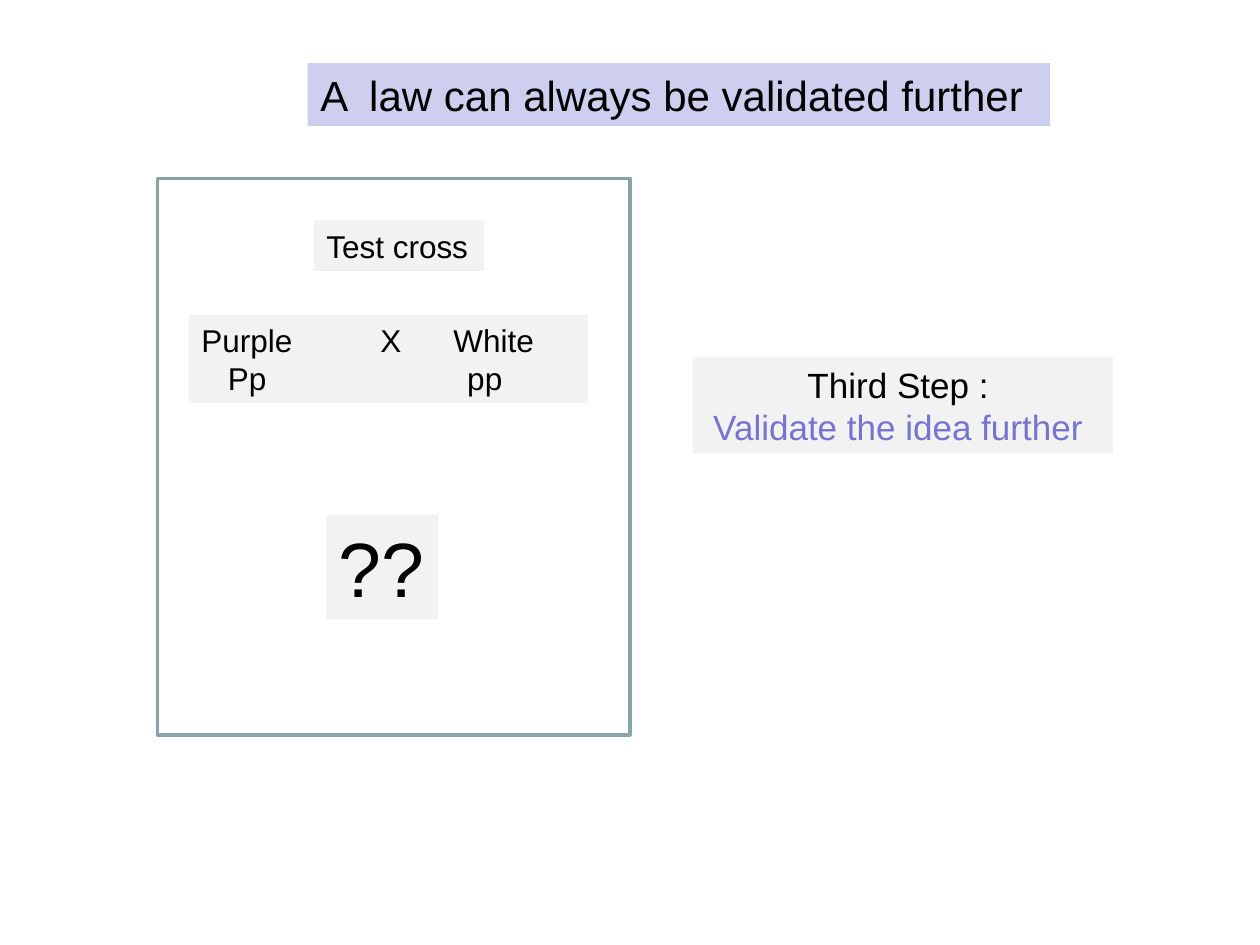
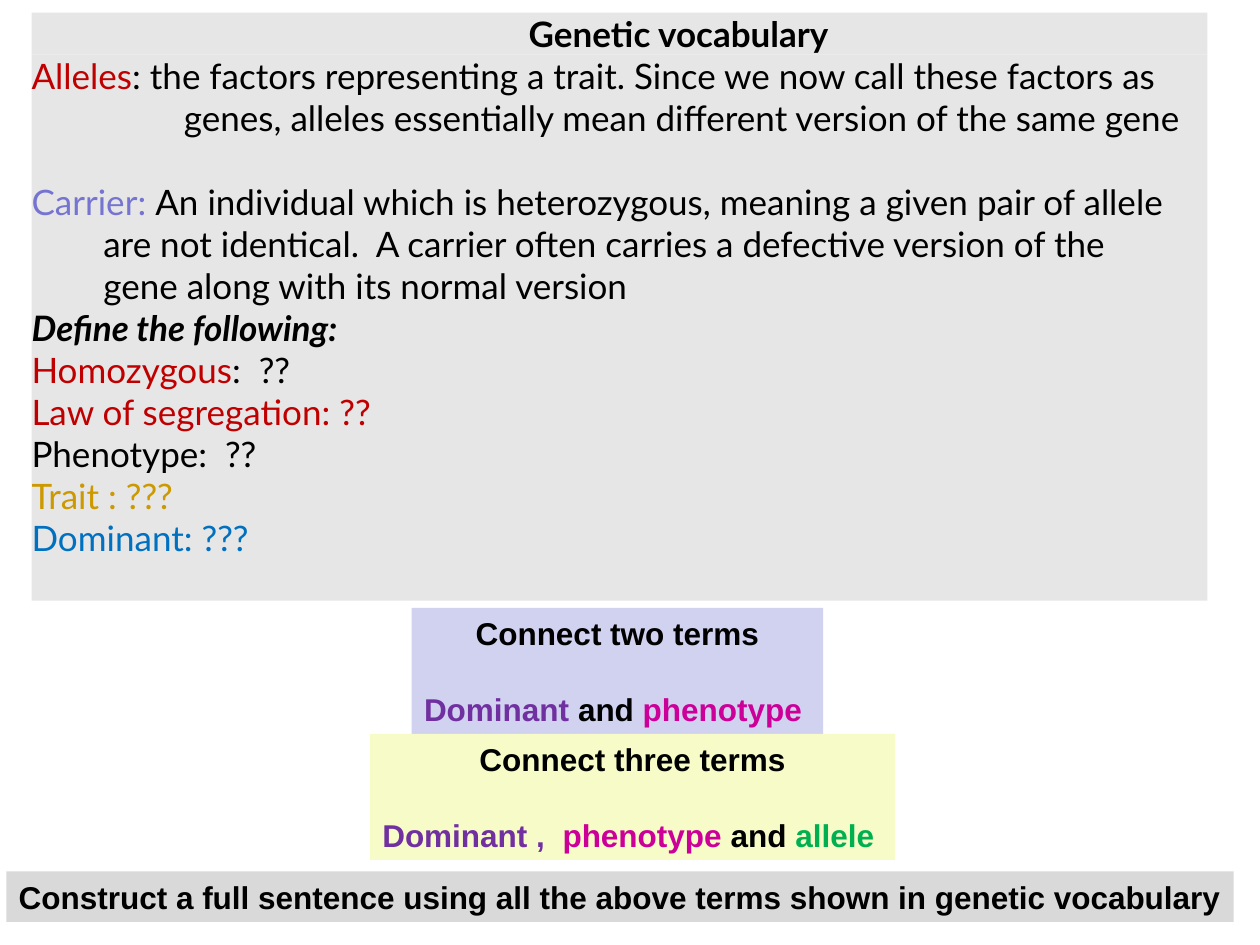
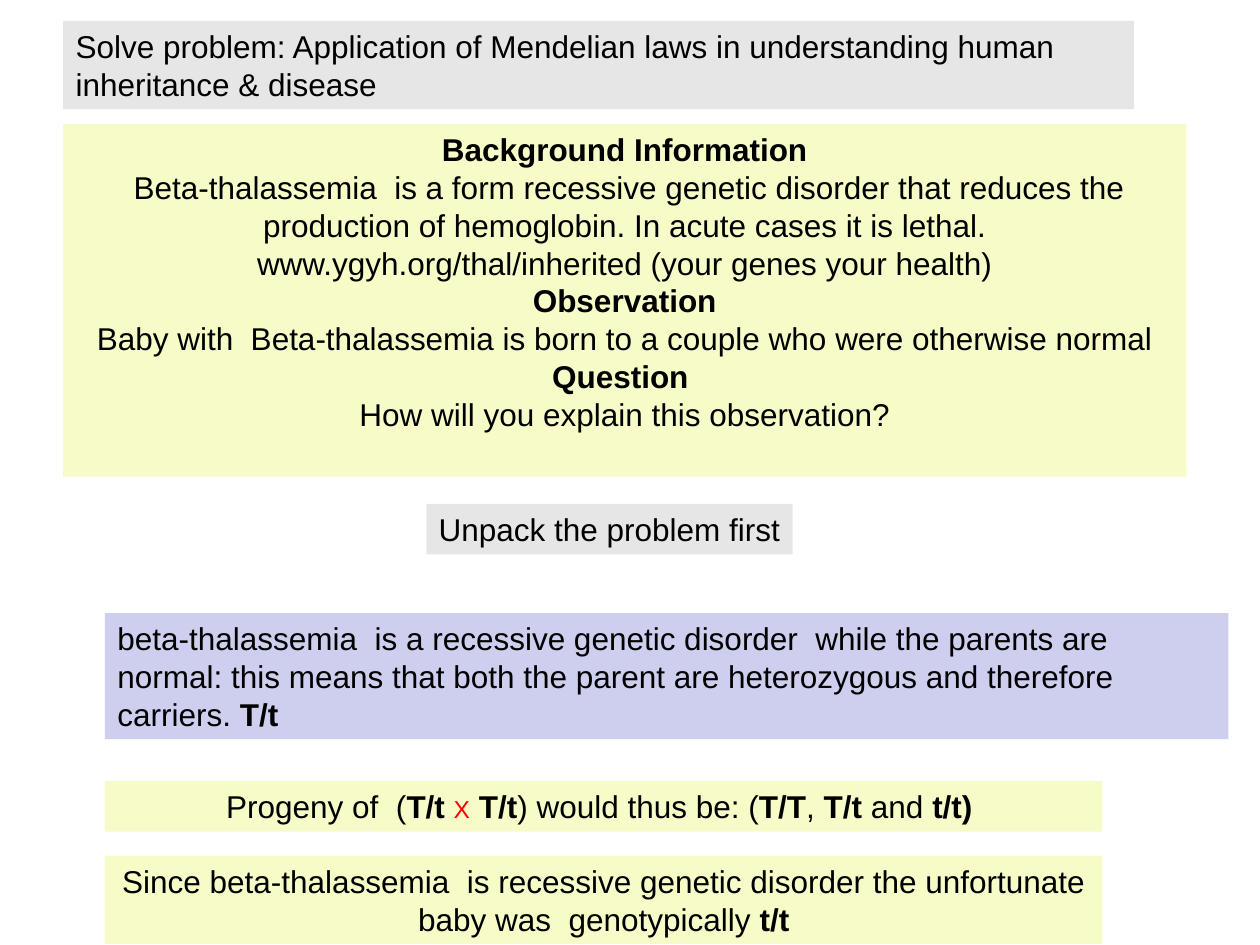
from lxml.etree import SubElement as Sub
from pptx import Presentation
from pptx.dml.color import RGBColor
from pptx.enum.shapes import MSO_SHAPE as Shape
from pptx.enum.text import MSO_ANCHOR as Anchor, MSO_AUTO_SIZE as Auto, PP_ALIGN as Align
from pptx.oxml.ns import qn
from pptx.util import Inches, Pt

COLS, ROWS = 120, 90
WIDE, HIGH = Inches(10), Inches(7.5)
ONE, TWO, THREE = 4.8, 8.4, 12  # rows taken by boxes of 18 pt lines
LEAD = 1.2

BLACK, RED, VIOLET, PINK = "000000", "C00000", "7030A0", "CC0099"
BLUE, LILAC, PALE, CREAM = "7575D1", "CECEEF", "F2F2F2", "F7FBC7"
GREY, TEAL = "E6E6E6", "89A4A7"


def color(text):
    return RGBColor.from_string(text)


def spot(left, top, width, height):
    """Turn grid columns and rows into slide lengths."""
    return (round(left * WIDE / COLS), round(top * HIGH / ROWS),
            round(width * WIDE / COLS), round(height * HIGH / ROWS))


def tint(text, hue=BLACK, **kind):
    """A run that differs from its line."""
    return text, dict(hue=hue, **kind)


def bold(text):
    return tint(text, bold=True)


def line(*runs, **kind):
    """A paragraph that differs from its box."""
    return runs, kind


def write(para, runs, size=18, font="Arial", hue=BLACK, bold=False, italic=False,
          mid=False, gap=0, left=0, tabs=(), plain=False):
    props = para._p.get_or_add_pPr()
    if plain:
        props.set("marL", str(Inches(left)))
        props.set("indent", "0")
        Sub(props, qn("a:buNone"))
    if tabs:
        stops = Sub(props, qn("a:tabLst"))
        for stop in tabs:
            Sub(stops, qn("a:tab"), pos=str(Inches(stop)), algn="l")
    para.alignment = Align.CENTER if mid else Align.LEFT
    para.line_spacing = Pt(size * LEAD)
    para.space_before = Pt(gap)
    base = dict(size=size, font=font, hue=hue, bold=bold, italic=italic)
    for item in runs:
        text, diff = (item, {}) if isinstance(item, str) else item
        look = {**base, **diff}
        run = para.add_run()
        run.text = text
        face = run.font
        face.name, face.size = look["font"], Pt(look["size"])
        face.bold, face.italic = look["bold"], look["italic"]
        face.color.rgb = color(look["hue"])


def fill(box, area, back, lines, wrap=True, pad=(0.1, 0.05, 0.1, 0.05), **kind):
    """Place a box on the grid, paint it and write its lines."""
    box.left, box.top, box.width, box.height = spot(*area)
    box.fill.solid()
    box.fill.fore_color.rgb = color(back)
    frame = box.text_frame
    frame.auto_size, frame.word_wrap = Auto.NONE, wrap
    frame.vertical_anchor = Anchor.TOP
    (frame.margin_left, frame.margin_top,
     frame.margin_right, frame.margin_bottom) = map(Inches, pad)
    for num, item in enumerate(lines):
        runs, diff = ((item,), {}) if isinstance(item, str) else item
        para = frame.add_paragraph() if num else frame.paragraphs[0]
        write(para, runs, **{**kind, **diff})


def note(slide, area, back, *lines, **kind):
    fill(slide.shapes.add_textbox(*spot(*area)), area, back, lines, **kind)


def head(slide, area, back, text, **kind):
    fill(slide.shapes.title, area, back, [text], **kind)


def body(slide, area, back, *lines, **kind):
    fill(slide.placeholders[1], area, back, lines, plain=True, **kind)


def panel(slide, area, hue):
    box = slide.shapes.add_shape(Shape.RECTANGLE, *spot(*area))
    box.shadow.inherit = False
    box.fill.background()
    box.line.color.rgb = color(hue)
    box.line.width = Pt(2)


def cross(slide):
    head(slide, (29.3, 6, 70.7, 6), LILAC, "A  law can always be validated further", size=24)
    panel(slide, (15, 17, 45, 53), TEAL)
    note(slide, (29.9, 21, 16.2, ONE), PALE, "Test cross", wrap=False)
    note(slide, (18, 30, 38, TWO), PALE,
         line("Purple\tX\tWhite", tabs=(1.42, 2)),
         line("\tPp\tpp", tabs=(0.21, 2.11)))
    note(slide, (31.1, 49, 10.6, 10), PALE, "??", size=44, wrap=False)
    note(slide, (66, 34, 40, 9.2), PALE, "Third Step : ",
         line("Validate the idea further ", hue=BLUE), size=20, mid=True)


def terms(slide):
    look = dict(size=20, font="Lato", pad=(0, 0, -1, 0))
    head(slide, (3, 1.2, 112, 4), GREY, "Genetic vocabulary ", bold=True, mid=True, **look)
    body(slide, (3, 5.2, 112, 52), GREY,
         line(tint("Alleles", RED),
              ": the factors representing a trait. Since we now call these factors as"),
         line("genes, alleles essentially mean different version of the same gene", left=1.21),
         line(tint("Carrier: ", BLUE),
              "An individual which is heterozygous, meaning a given pair of allele",
              gap=20 * LEAD),
         line("are not identical.  A carrier often carries a defective version of the", left=0.57),
         line("gene along with its normal version", left=0.57),
         line("Define the following:", bold=True, italic=True),
         line(tint("Homozygous", RED), ":  ??"),
         line("Law of segregation: ??", hue=RED),
         "Phenotype:  ??",
         line("Trait : ???", hue="CC9900"),
         line("Dominant: ???", hue="0070C0"), **look)
    tight = dict(bold=True, mid=True, wrap=False)
    gap = 18 * LEAD
    note(slide, (39.2, 57.9, 39.2, THREE), "D1D1F0", "Connect two terms",
         line(tint("Dominant ", VIOLET, bold=True), "and ",
              tint("phenotype ", PINK, bold=True), gap=gap), **tight)
    note(slide, (35.25, 69.9, 50, THREE), CREAM, "Connect three terms",
         line(tint("Dominant ,  ", VIOLET, bold=True), tint("phenotype ", PINK, bold=True),
              "and ", tint("allele ", "00B050", bold=True), gap=gap), **tight)
    note(slide, (0.6, 83, 116.9, ONE), "D9D9D9",
         "Construct a full sentence using all the above terms shown in genetic vocabulary",
         **tight)


def solve(slide):
    head(slide, (6, 2, 102, TWO), GREY,
         "Solve problem: Application of Mendelian laws in understanding human "
         "inheritance & disease")
    body(slide, (6, 11.8, 107, 33.6), CREAM,
         line("Background Information", bold=True),
         " Beta-thalassemia  is a form recessive genetic disorder that reduces the "
         "production of hemoglobin. In acute cases it is lethal. "
         "www.ygyh.org/thal/inherited (your genes your health)",
         line("Observation", bold=True),
         "Baby with  Beta-thalassemia is born to a couple who were otherwise normal",
         line("Question ", bold=True),
         "How will you explain this observation?", mid=True)
    note(slide, (40.6, 48, 34.9, ONE), GREY, "Unpack the problem first", wrap=False)
    note(slide, (10, 58.4, 107, THREE), LILAC,
         line("beta-thalassemia  is a recessive genetic disorder  while the parents are "
              "normal: this means that both the parent are heterozygous and therefore "
              "carriers. ", bold("T/t")))
    note(slide, (10, 74.4, 95, ONE), CREAM,
         line("Progeny of  (", bold("T/t "), tint("X", "FF0000", size=14), " ", bold("T/t"),
              ") would thus be: (", bold("T/T"), ", ", bold("T/t "), "and ", bold("t/t) ")),
         mid=True)
    note(slide, (10, 81.5, 95, TWO), CREAM,
         line("Since beta-thalassemia  is recessive genetic disorder the unfortunate "
              "baby was  genotypically ", bold("t/t")), mid=True)


def main():
    deck = Presentation()
    deck.slide_width, deck.slide_height = WIDE, HIGH
    for draw, layout in ((cross, 5), (terms, 1), (solve, 1)):
        draw(deck.slides.add_slide(deck.slide_layouts[layout]))
    deck.save("out.pptx")


if __name__ == "__main__":
    main()
